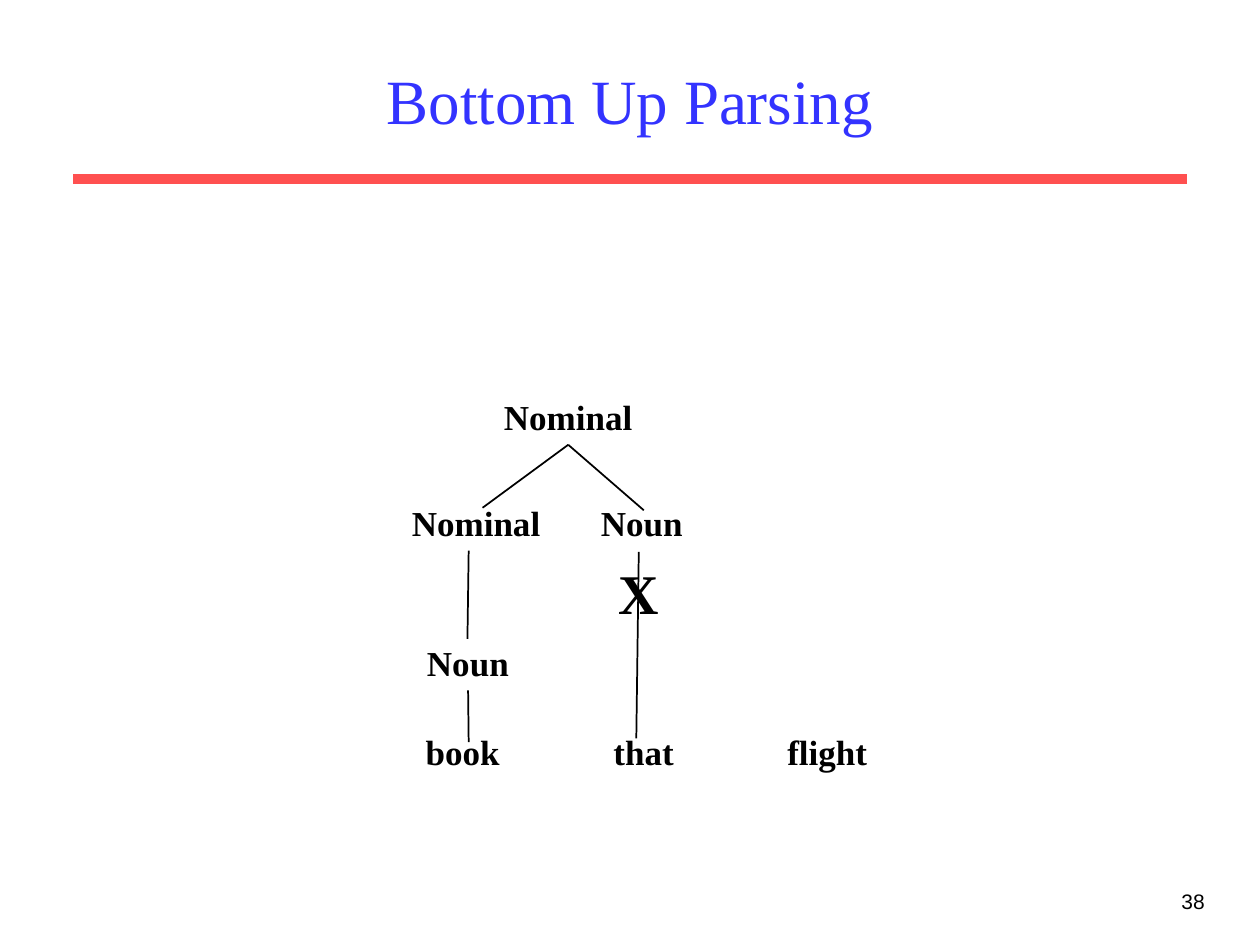
from pptx import Presentation
from pptx import util as u
from pptx.dml.color import RGBColor
from pptx.enum import shapes, text
from lxml import etree
from pptx.oxml.ns import qn

COLS, ROWS = 100, 75
HUES = {"title": "3333FF", "rule": "FF5050", "ink": "000000"}
SERIF, SANS = "Times New Roman", "Arial"

deck = Presentation()
deck.slide_width, deck.slide_height = u.Inches(10), u.Inches(7.5)


def grid(box, x, y):
    """Slide position of a column and row counted from the box's corner."""
    return (round((box[0] + x) * deck.slide_width / COLS),
            round((box[1] + y) * deck.slide_height / ROWS))


def style(frame, size, face=SERIF, hue="ink", bold=False):
    for run in frame.paragraphs[0].runs:
        font = run.font
        font.size, font.name, font.bold = u.Pt(size), face, bold
        font.color.rgb = RGBColor.from_string(HUES[hue])


def label(slide, box, words, x, y, wide, high=4.4, size=20, stops=()):
    """Bold text whose tabs fall on the given columns of the text area."""
    area = slide.shapes.add_textbox(*grid(box, x, y), *grid((0, 0), wide, high))
    frame = area.text_frame
    frame.word_wrap = bool(stops)
    frame.text = words
    if stops:
        tabs = etree.SubElement(frame.paragraphs[0]._p.get_or_add_pPr(),
                                qn("a:tabLst"))
        for stop in stops:
            etree.SubElement(tabs, qn("a:tab"), algn="l",
                             pos=str(grid((0, 0), stop, 0)[0]))
    style(frame, size, bold=True)
    return area


def line(slide, box, start, end, hue="ink", width=1):
    edge = slide.shapes.add_connector(shapes.MSO_CONNECTOR.STRAIGHT,
                                      *grid(box, *start), *grid(box, *end))
    edge.line.color.rgb = RGBColor.from_string(HUES[hue])
    edge.line.width = u.Pt(width)
    etree.SubElement(edge._element.spPr, qn("a:effectLst"))
    return edge


def header(slide, box, words):
    line(slide, box, (-1.7, 11.7), (86.7, 11.7), "rule", 6)
    title = slide.shapes.title
    title.left, title.top = grid(box, 0, 0)
    title.width, title.height = grid((0, 0), 85, 10.8)
    frame = title.text_frame
    frame.text = words
    frame.vertical_anchor = text.MSO_ANCHOR.MIDDLE
    frame.paragraphs[0].alignment = text.PP_ALIGN.CENTER
    style(frame, 36, hue="title")


def footer(slide, box, words):
    area = slide.shapes.add_textbox(*grid(box, 0, 0), *grid((0, 0), 20.8, 5))
    frame = area.text_frame
    frame.word_wrap = True
    frame.text = words
    frame.paragraphs[0].alignment = text.PP_ALIGN.RIGHT
    style(frame, 12, SANS)


def tree(slide, box):
    label(slide, box, "book\tthat\tflight", 2.8, 27.5, 37.1, stops=(14.9, 28.7))
    noun = label(slide, box, "Noun", 2.9, 20.4, 8.5)
    label(slide, box, "Nominal\tNoun", 1.7, 9.3, 23.6, stops=(15,))
    root = label(slide, box, "Nominal", 9, 0.9, 12.2)
    cross = label(slide, box, "X", 18.1, 13.8, 5.2, 6.4, 32)

    line(slide, box, (7.2, 13.7), (7.1, 20.7))
    edges = (
        (noun, 2, (7.2, 24.8), (7.2, 28.9)),
        (root, 2, (15.1, 5.3), (8.3, 10.3)),
        (root, 2, (15.1, 5.3), (21.1, 10.5)),
        (cross, 0, (20.7, 13.8), (20.5, 28.6)),
    )
    for node, side, start, end in edges:
        line(slide, box, start, end).begin_connect(node, side)


def main():
    slide = deck.slides.add_slide(deck.slide_layouts[5])
    header(slide, (7.5, 2.5), "Bottom Up Parsing")
    footer(slide, (75.8, 70), "38")
    tree(slide, (30, 30))
    deck.save("out.pptx")


if __name__ == "__main__":
    main()
